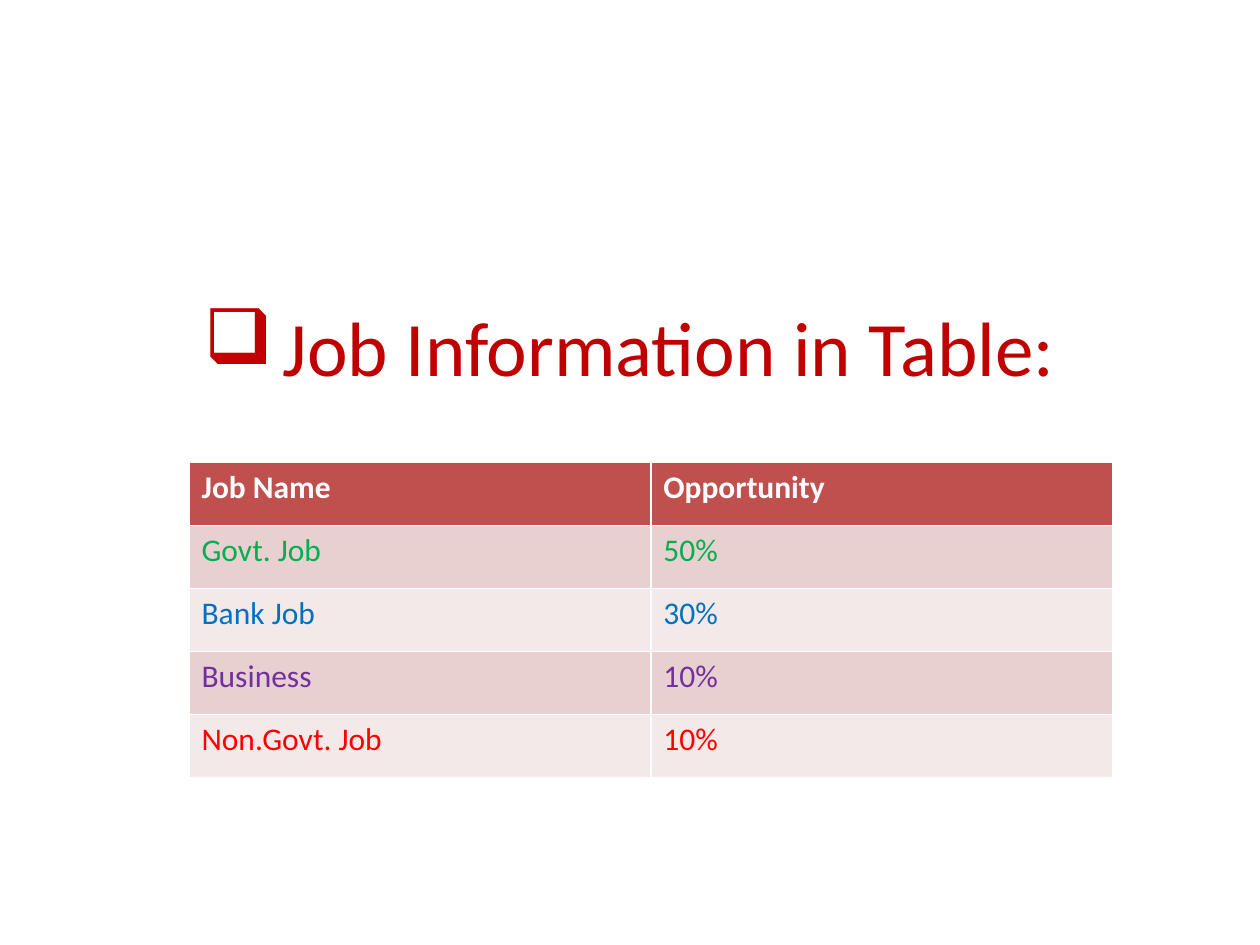
from pptx import Presentation
from pptx.dml.color import RGBColor
from pptx.enum.text import MSO_ANCHOR, PP_ALIGN
from pptx.util import Inches, Pt
from lxml import etree

TOP = MSO_ANCHOR.TOP
CENTER = PP_ALIGN.CENTER
NS = "{http://schemas.openxmlformats.org/drawingml/2006/main}"
FONT = "Calibri"
TITLE = "Job Information in Table:"
ROWS = [
    ("Job Name", "Opportunity", "FFFFFF"),
    ("Govt. Job", "50%", "00B050"),
    ("Bank Job", "30%", "0070C0"),
    ("Business", "10%", "7030A0"),
    ("Non.Govt. Job", "10%", "FF0000"),
]
HEAD = "C0504D"
BANDS = ("F4E9E9", "E8D0D0")


def style(para, size, color, bold=False):
    for run in para.runs:
        font = run.font
        font.name, font.size, font.bold = FONT, Pt(size), bold
        font.color.rgb = RGBColor.from_string(color)


def add_title(slide):
    box = slide.shapes.add_textbox(Inches(0.75), Inches(2.33), Inches(8.5), Inches(1.61))
    frame = box.text_frame
    frame.word_wrap = True
    frame.vertical_anchor = TOP
    frame.text = TITLE
    para = frame.paragraphs[0]
    para.alignment = CENTER
    style(para, 44, "C00000")
    props = para._p.get_or_add_pPr()
    props.set("marL", str(Inches(0.62)))
    props.set("indent", str(Inches(-0.62)))
    etree.SubElement(props, NS + "buFont", typeface="Wingdings")
    etree.SubElement(props, NS + "buChar", char="q")


def add_jobs(slide):
    table = slide.shapes.add_table(
        len(ROWS), 2, Inches(1.5), Inches(3.67), Inches(7.33), Inches(2.5)
    ).table
    for r, (*words, color) in enumerate(ROWS):
        for c, word in enumerate(words):
            cell = table.cell(r, c)
            cell.text_frame.text = word
            style(cell.text_frame.paragraphs[0], 18, color, r == 0)
            cell.fill.solid()
            cell.fill.fore_color.rgb = RGBColor.from_string(BANDS[r % 2] if r else HEAD)


def main():
    """Build the job table slide."""
    deck = Presentation()
    deck.slide_width, deck.slide_height = Inches(10), Inches(7.5)
    slide = deck.slides.add_slide(deck.slide_layouts[6])
    add_title(slide)
    add_jobs(slide)
    deck.save("out.pptx")


if __name__ == "__main__":
    main()
